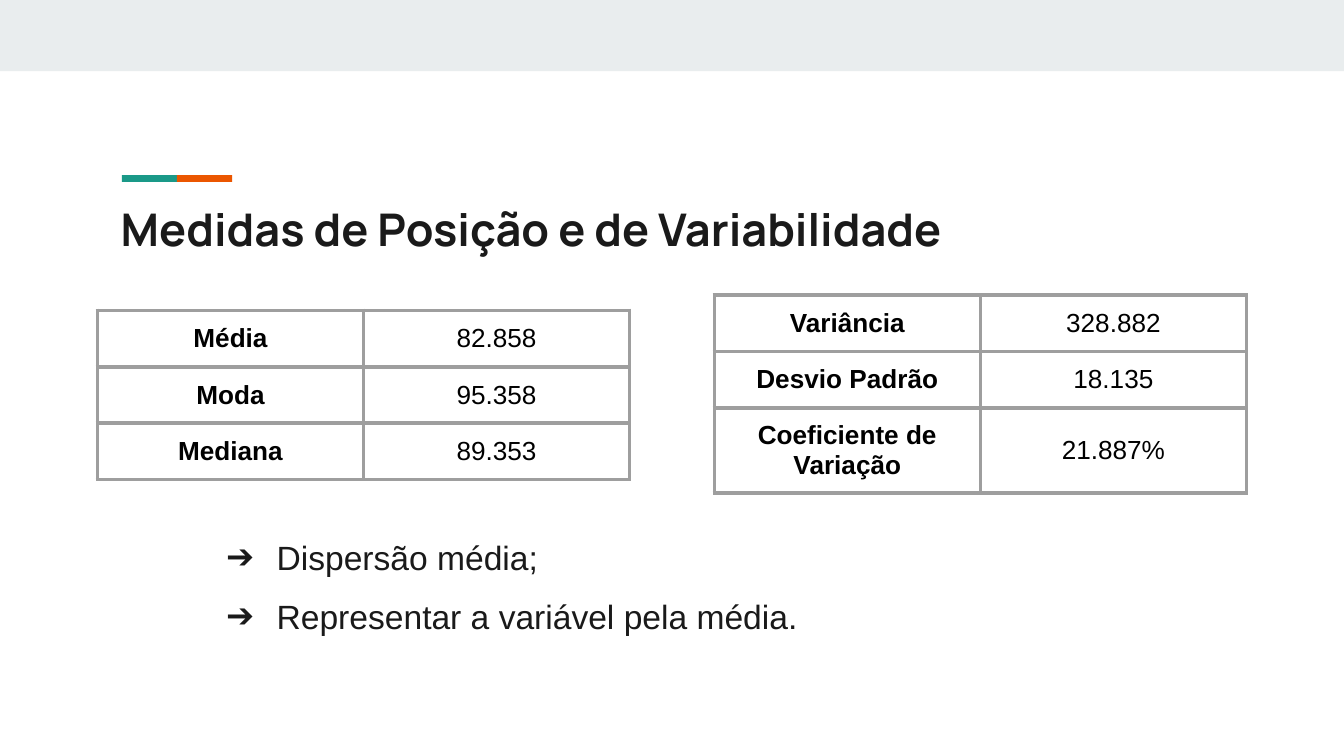
import dataclasses

import lxml.etree
import pptx
import pptx.dml.color
import pptx.enum.shapes
import pptx.enum.text
import pptx.oxml.ns
import pptx.util


@dataclasses.dataclass(frozen=True)
class Theme:
    band: str = "E9EDEE"
    teal: str = "1A9988"
    orange: str = "EB5600"
    ink: str = "1A1A1A"
    cell_ink: str = "000000"
    border: str = "9E9E9E"
    heading_font: str = "Manrope"
    body_font: str = "Arial"
    title_size: float = 24.1
    body_size: float = 18
    cell_size: float = 14
    border_width: float = 2.21


class Deck:
    """Draws styled elements on a 16:9 slide with a square grid of 100 columns."""

    def __init__(self, theme):
        self.theme = theme
        self.prs = pptx.Presentation()
        self.prs.slide_width = pptx.util.Inches(10)
        self.prs.slide_height = self.prs.slide_width * 9 // 16
        self.slide = self.prs.slides.add_slide(self.prs.slide_layouts[6])

    def grid(self, cells):
        return round(self.prs.slide_width * cells / 100)

    def box(self, *place):
        return [self.grid(cells) for cells in place]

    def rect(self, color, *place):
        kind = pptx.enum.shapes.MSO_SHAPE.RECTANGLE
        sp = self.slide.shapes.add_shape(kind, *self.box(*place))
        sp.shadow.inherit = False
        sp.fill.solid()
        sp.fill.fore_color.rgb = pptx.dml.color.RGBColor.from_string(color)
        sp.line.fill.background()

    def run(self, p, text, size, color, font, bold=False):
        r = p.add_run()
        r.text = text
        r.font.size = pptx.util.Pt(size)
        r.font.name = font
        r.font.bold = bold
        r.font.color.rgb = pptx.dml.color.RGBColor.from_string(color)

    def frame(self, *place):
        tf = self.slide.shapes.add_textbox(*self.box(*place)).text_frame
        tf.word_wrap = True
        tf.margin_left = tf.margin_right = self.grid(1)
        tf.margin_top = tf.margin_bottom = self.grid(1)
        return tf

    def title(self, text, *place):
        t = self.theme
        p = self.frame(*place).paragraphs[0]
        p.line_spacing = 0.9
        self.run(p, text, t.title_size, t.ink, t.heading_font, True)

    def bullets(self, items, *place):
        t = self.theme
        qn = pptx.oxml.ns.qn
        tf = self.frame(*place)
        for i, text in enumerate(items):
            p = tf.add_paragraph() if i else tf.paragraphs[0]
            if i:
                p.space_before = p.space_after = pptx.util.Pt(10)
            ppr = p._p.get_or_add_pPr()
            ppr.set("marL", str(self.grid(5)))
            ppr.set("indent", str(-self.grid(3.75)))
            clr = lxml.etree.SubElement(ppr, qn("a:buClr"))
            lxml.etree.SubElement(clr, qn("a:srgbClr"), val=t.ink)
            lxml.etree.SubElement(ppr, qn("a:buFont"), typeface=t.body_font)
            lxml.etree.SubElement(ppr, qn("a:buChar"), char="➔")
            self.run(p, text, t.body_size, t.ink, t.body_font)

    def borders(self, cell):
        qn = pptx.oxml.ns.qn
        width = str(pptx.util.Pt(self.theme.border_width))
        for i, side in enumerate(("a:lnL", "a:lnR", "a:lnT", "a:lnB")):
            ln = lxml.etree.Element(qn(side), w=width)
            fill = lxml.etree.SubElement(ln, qn("a:solidFill"))
            lxml.etree.SubElement(fill, qn("a:srgbClr"), val=self.theme.border)
            cell._tc.get_or_add_tcPr().insert(i, ln)

    def table(self, left, top, col_width, heights, data):
        t = self.theme
        place = self.box(left, top, 2 * col_width, sum(heights))
        table = self.slide.shapes.add_table(len(data), 2, *place).table
        table.first_row = table.horz_banding = False
        for col in table.columns:
            col.width = self.grid(col_width)
        for row, height, texts in zip(table.rows, heights, data):
            row.height = self.grid(height)
            for i, (cell, text) in enumerate(zip(row.cells, texts)):
                cell.fill.background()
                cell.vertical_anchor = pptx.enum.text.MSO_ANCHOR.MIDDLE
                cell.margin_left = cell.margin_right = self.grid(1)
                cell.margin_top = cell.margin_bottom = self.grid(0.5)
                self.borders(cell)
                p = cell.text_frame.paragraphs[0]
                p.alignment = pptx.enum.text.PP_ALIGN.CENTER
                self.run(p, text, t.cell_size, t.cell_ink, t.body_font, i == 0)


def main():
    theme = Theme()
    deck = Deck(theme)
    deck.rect(theme.band, 0, 0, 100, 5.3)
    for i, color in enumerate((theme.teal, theme.orange)):
        deck.rect(color, 9.07 + 4.1 * i, 13.03, 4.1, 0.5)
    deck.title("Medidas de Posição e de Variabilidade", 8, 14.45, 84.1, 5.9)
    deck.table(7.25, 23.1, 19.8, (4.2, 4.2, 4.2), (
        ("Média", "82.858"),
        ("Moda", "95.358"),
        ("Mediana", "89.353"),
    ))
    deck.table(53.15, 21.95, 19.8, (4.2, 4.2, 6.35), (
        ("Variância", "328.882"),
        ("Desvio Padrão", "18.135"),
        ("Coeficiente de Variação", "21.887%"),
    ))
    deck.bullets(("Dispersão média;", "Representar a variável pela média."),
                 14.6, 38.95, 70.8, 13.5)
    deck.prs.save("out.pptx")


if __name__ == "__main__":
    main()
